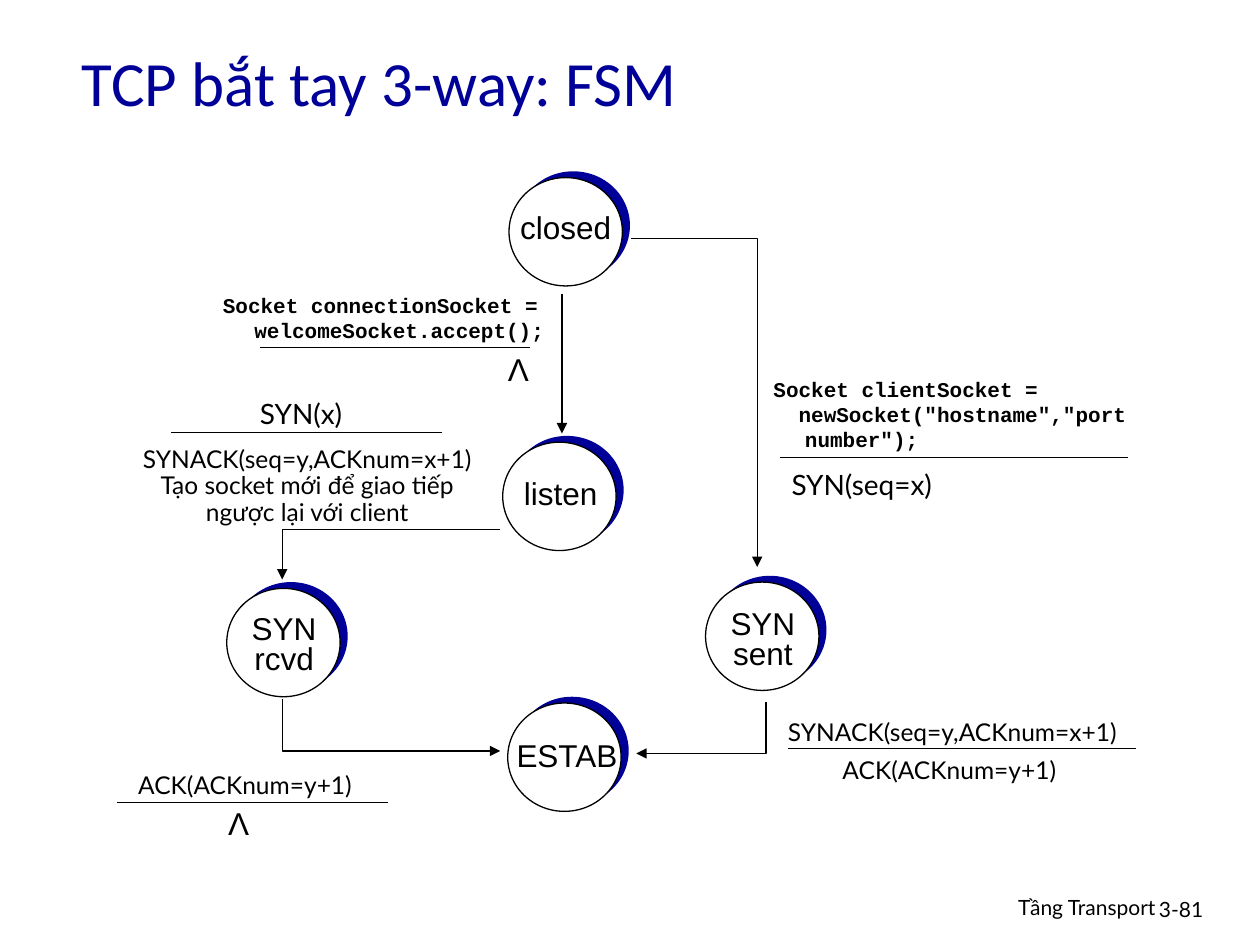
from dataclasses import dataclass

from lxml.etree import SubElement
from pptx import Presentation
from pptx.dml.color import RGBColor
from pptx.enum.shapes import MSO_CONNECTOR, MSO_SHAPE
from pptx.enum.text import MSO_ANCHOR, MSO_AUTO_SIZE, PP_ALIGN
from pptx.oxml.ns import qn
from pptx.util import Inches, Pt

NAVY = RGBColor(0x00, 0x00, 0x99)
BLACK = RGBColor(0x00, 0x00, 0x00)
WHITE = RGBColor(0xFF, 0xFF, 0xFF)
STATE_WIDTH, STATE_HEIGHT = 0.9, 0.86
LINE_WIDTH = Pt(0.75)


@dataclass
class Label:
    lines: list[str]
    left: float
    top: float
    width: float
    height: float
    size: int = 14
    font: str = "Lato"
    align: PP_ALIGN = PP_ALIGN.CENTER
    spacing: float = 1.0
    wrap: bool = False
    bold: bool = False
    hanging: float = 0


@dataclass
class State:
    left: float
    top: float
    label: Label


@dataclass
class Rule:
    left: float
    right: float
    top: float


def state_label(lines: list[str], left: float, top: float, width: float,
                height: float, spacing: float = 1.0) -> Label:
    return Label(lines, left, top, width, height, 18, "Arial", spacing=spacing)


def code_label(lines: list[str], left: float, top: float, width: float,
               height: float) -> Label:
    return Label(lines, left, top, width, height, 12, "Courier New",
                 PP_ALIGN.LEFT, wrap=True, bold=True, hanging=0.25)


STATES = [
    State(4.04, 1.41, state_label(["closed"], 4.02, 1.6, 0.94, 0.4)),
    State(3.99, 3.51, state_label(["listen"], 4.04, 3.71, 0.82, 0.4)),
    State(1.8, 4.67, state_label(["SYN", "rcvd"], 1.87, 4.84, 0.77, 0.58, 0.8)),
    State(5.6, 4.62, state_label(["SYN", "sent"], 5.67, 4.8, 0.77, 0.58, 0.8)),
    State(4.03, 5.58, state_label(["ESTAB"], 3.98, 5.85, 1.04, 0.34, 0.8)),
]

LABELS = [
    Label(["Tầng Transport"], 6.1, 7.05, 3.17, 0.31, 12,
          align=PP_ALIGN.RIGHT, wrap=True),
    Label(["3-81"], 9.1, 7.07, 0.74, 0.3, 12, align=PP_ALIGN.LEFT, wrap=True),
    code_label(["Socket connectionSocket = welcomeSocket.accept();"],
               1.67, 2.27, 2.82, 0.5),
    code_label(["Socket clientSocket =",
                '  newSocket("hostname","port number");'],
               6.04, 2.94, 3.16, 0.7),
    state_label(["Λ"], 3.93, 2.73, 0.37, 0.4),
    state_label(["Λ"], 1.71, 6.33, 0.37, 0.4),
    Label(["SYN(seq=x)"], 6.16, 3.66, 1.36, 0.37, 16),
    Label(["SYN(x)"], 1.96, 3.1, 0.86, 0.37, 16),
    Label(["SYNACK(seq=y,ACKnum=x+1)", "Tạo socket mới để giao tiếp",
           "ngược lại với client"], 1.01, 3.5, 2.86, 0.75, spacing=0.9),
    Label(["SYNACK(seq=y,ACKnum=x+1)"], 6.13, 5.67, 2.86, 0.31, spacing=0.9),
    Label(["ACK(ACKnum=y+1)"], 6.58, 5.97, 1.91, 0.31, spacing=0.9),
    Label(["ACK(ACKnum=y+1)"], 0.99, 6.09, 1.91, 0.31, spacing=0.9),
]

RULES = [
    Rule(6.19, 8.95, 3.63),
    Rule(2.06, 4.21, 2.76),
    Rule(1.36, 3.51, 3.43),
    Rule(6.25, 9.02, 5.94),
    Rule(0.93, 3.08, 6.37),
]

ELBOWS = [
    [(5.01, 1.89), (6.01, 1.89), (6.01, 4.5)],
    [(3.97, 4.2), (2.24, 4.2), (2.24, 4.6)],
    [(2.24, 5.55), (2.24, 5.96), (3.97, 5.96)],
    [(6.08, 5.57), (6.08, 5.98), (5.05, 5.98)],
]


def draw_label(slide, label: Label) -> None:
    box = slide.shapes.add_textbox(Inches(label.left), Inches(label.top),
                                   Inches(label.width), Inches(label.height))
    frame = box.text_frame
    frame.word_wrap = label.wrap
    frame.auto_size = MSO_AUTO_SIZE.SHAPE_TO_FIT_TEXT
    frame.text = "\n".join(label.lines)
    for para in frame.paragraphs:
        para.alignment = label.align
        para.line_spacing = label.spacing
        if label.hanging:
            properties = para._p.get_or_add_pPr()
            properties.set("marL", str(Inches(label.hanging)))
            properties.set("indent", str(-Inches(label.hanging)))
        for span in para.runs:
            span.font.name = label.font
            span.font.size = Pt(label.size)
            span.font.bold = label.bold
            span.font.color.rgb = BLACK


def draw_state(slide, state: State) -> None:
    group = slide.shapes.add_group_shape()
    for left, top, color in ((state.left + 0.06, state.top - 0.05, NAVY),
                             (state.left, state.top, WHITE)):
        disc = group.shapes.add_shape(MSO_SHAPE.OVAL, Inches(left), Inches(top),
                                      Inches(STATE_WIDTH), Inches(STATE_HEIGHT))
        disc.shadow.inherit = False
        disc.fill.solid()
        disc.fill.fore_color.rgb = color
        if color == WHITE:
            disc.line.color.rgb = BLACK
            disc.line.width = LINE_WIDTH
        else:
            disc.line.fill.background()
    draw_label(slide, state.label)


def style_line(shape, arrow: bool) -> None:
    shape.line.color.rgb = BLACK
    shape.line.width = LINE_WIDTH
    properties = shape._element.spPr
    if arrow:
        SubElement(properties.find(qn("a:ln")), qn("a:tailEnd"), type="triangle")
    if properties.find(qn("a:effectLst")) is None:
        SubElement(properties, qn("a:effectLst"))


def draw_line(slide, start: tuple[float, float], end: tuple[float, float],
              arrow: bool = False) -> None:
    points = [Inches(value) for value in (*start, *end)]
    line = slide.shapes.add_connector(MSO_CONNECTOR.STRAIGHT, *points)
    style_line(line, arrow)


def draw_elbow(slide, points: list[tuple[float, float]]) -> None:
    start, *others = [(Inches(x), Inches(y)) for x, y in points]
    builder = slide.shapes.build_freeform(*start, scale=1.0)
    builder.add_line_segments(others, close=False)
    elbow = builder.convert_to_shape()
    elbow.fill.background()
    style_line(elbow, arrow=True)


def draw_title(slide, text: str) -> None:
    title = slide.shapes.title
    title.left, title.top = Inches(0.55), Inches(0.18)
    title.width, title.height = Inches(5.86), Inches(0.93)
    frame = title.text_frame
    frame.text = text
    frame.auto_size = MSO_AUTO_SIZE.NONE
    frame.vertical_anchor = MSO_ANCHOR.MIDDLE
    para = frame.paragraphs[0]
    para.alignment = PP_ALIGN.LEFT
    span = para.runs[0]
    span.font.name = "Calibri"
    span.font.size = Pt(36)
    span.font.color.rgb = NAVY


def main() -> None:
    deck = Presentation()
    deck.slide_width, deck.slide_height = Inches(10), Inches(7.5)
    page = deck.slides.add_slide(deck.slide_layouts[5])
    draw_title(page, "TCP bắt tay 3-way: FSM")
    for state in STATES:
        draw_state(page, state)
    for label in LABELS:
        draw_label(page, label)
    for rule in RULES:
        draw_line(page, (rule.left, rule.top), (rule.right, rule.top))
    draw_line(page, (4.46, 2.33), (4.46, 3.44), arrow=True)
    for points in ELBOWS:
        draw_elbow(page, points)
    deck.save("out.pptx")


if __name__ == "__main__":
    main()
